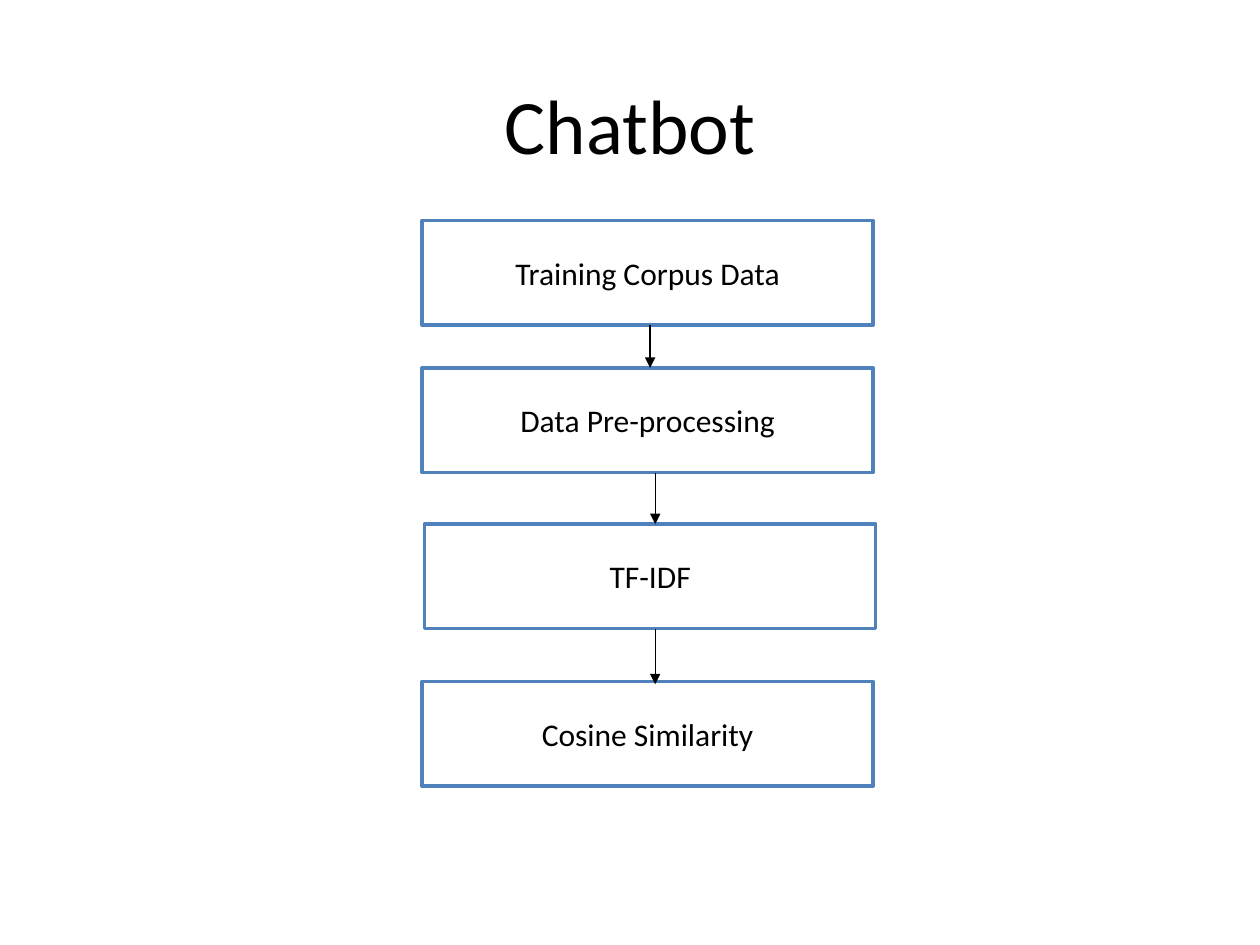
import pptx
import pptx.dml.color
import pptx.enum.shapes
import pptx.enum.text
import pptx.oxml
import pptx.oxml.ns
import pptx.util
from pptx.util import Inches

BLACK = pptx.dml.color.RGBColor(0x00, 0x00, 0x00)
WHITE = pptx.dml.color.RGBColor(0xFF, 0xFF, 0xFF)
BLUE = pptx.dml.color.RGBColor(0x4F, 0x81, 0xBD)
FONT = "Calibri"
STEP_WIDTH, STEP_HEIGHT = 3.58, 0.83
STEPS = [
    ("Training Corpus Data", 3.35, 1.75),
    ("Data Pre-processing", 3.35, 2.92),
    ("TF-IDF", 3.37, 4.16),
    ("Cosine Similarity", 3.35, 5.41),
]
ARROWS = [(5.16, 2.58, 2.92), (5.2, 3.75, 4.16), (5.2, 4.99, 5.43)]


def write_text(shape, text, size):
    frame = shape.text_frame
    frame.word_wrap = True
    frame.vertical_anchor = pptx.enum.text.MSO_ANCHOR.MIDDLE
    paragraph = frame.paragraphs[0]
    paragraph.alignment = pptx.enum.text.PP_ALIGN.CENTER
    run = paragraph.add_run()
    run.text = text
    run.font.name = FONT
    run.font.size = pptx.util.Pt(size)
    run.font.color.rgb = BLACK


def set_title(slide, text):
    title = slide.shapes.title
    title.left, title.top = Inches(0.5), Inches(0.36)
    title.width, title.height = Inches(9), Inches(1.25)
    write_text(title, text, 44)


def add_step(slide, text, left, top):
    shape = slide.shapes.add_shape(
        pptx.enum.shapes.MSO_SHAPE.RECTANGLE,
        Inches(left), Inches(top), Inches(STEP_WIDTH), Inches(STEP_HEIGHT))
    shape.shadow.inherit = False
    shape.fill.solid()
    shape.fill.fore_color.rgb = WHITE
    shape.line.color.rgb = BLUE
    shape.line.width = pptx.util.Pt(2)
    write_text(shape, text, 18)


def add_arrow(slide, x, top, bottom):
    connector = slide.shapes.add_connector(
        pptx.enum.shapes.MSO_CONNECTOR.STRAIGHT,
        Inches(x), Inches(top), Inches(x), Inches(bottom))
    connector.line.color.rgb = BLACK
    connector.line.width = pptx.util.Pt(0.75)
    namespace = pptx.oxml.ns.nsdecls("a")
    line = connector.line._get_or_add_ln()
    line.append(pptx.oxml.parse_xml(f'<a:tailEnd {namespace} type="triangle"/>'))
    connector._element.spPr.append(pptx.oxml.parse_xml(f"<a:effectLst {namespace}/>"))


def main():
    presentation = pptx.Presentation()
    presentation.slide_width = Inches(10)
    presentation.slide_height = Inches(7.5)
    slide = presentation.slides.add_slide(presentation.slide_layouts[5])
    set_title(slide, "Chatbot")
    for step in STEPS:
        add_step(slide, *step)
    for arrow in ARROWS:
        add_arrow(slide, *arrow)
    presentation.save("out.pptx")


if __name__ == "__main__":
    main()
